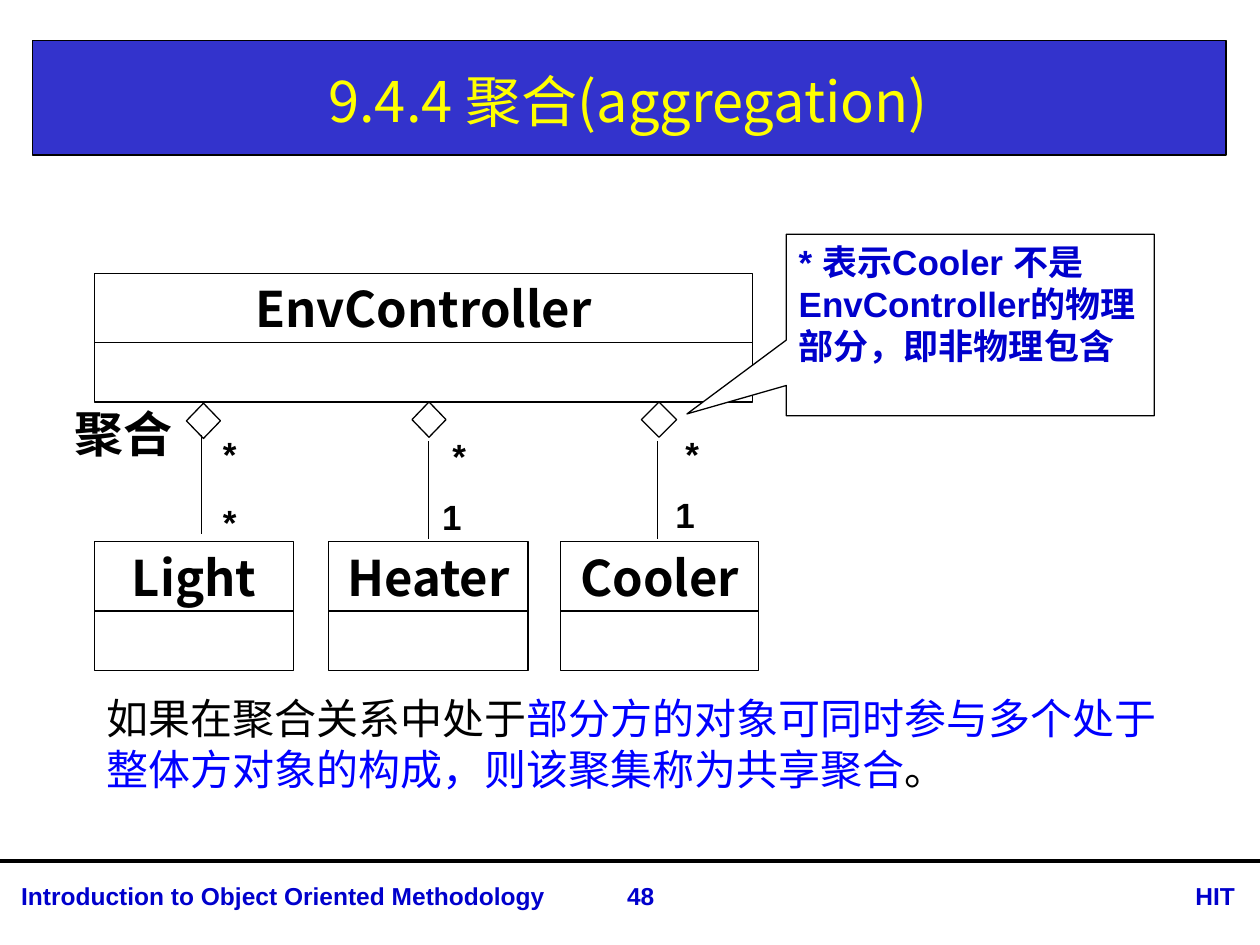
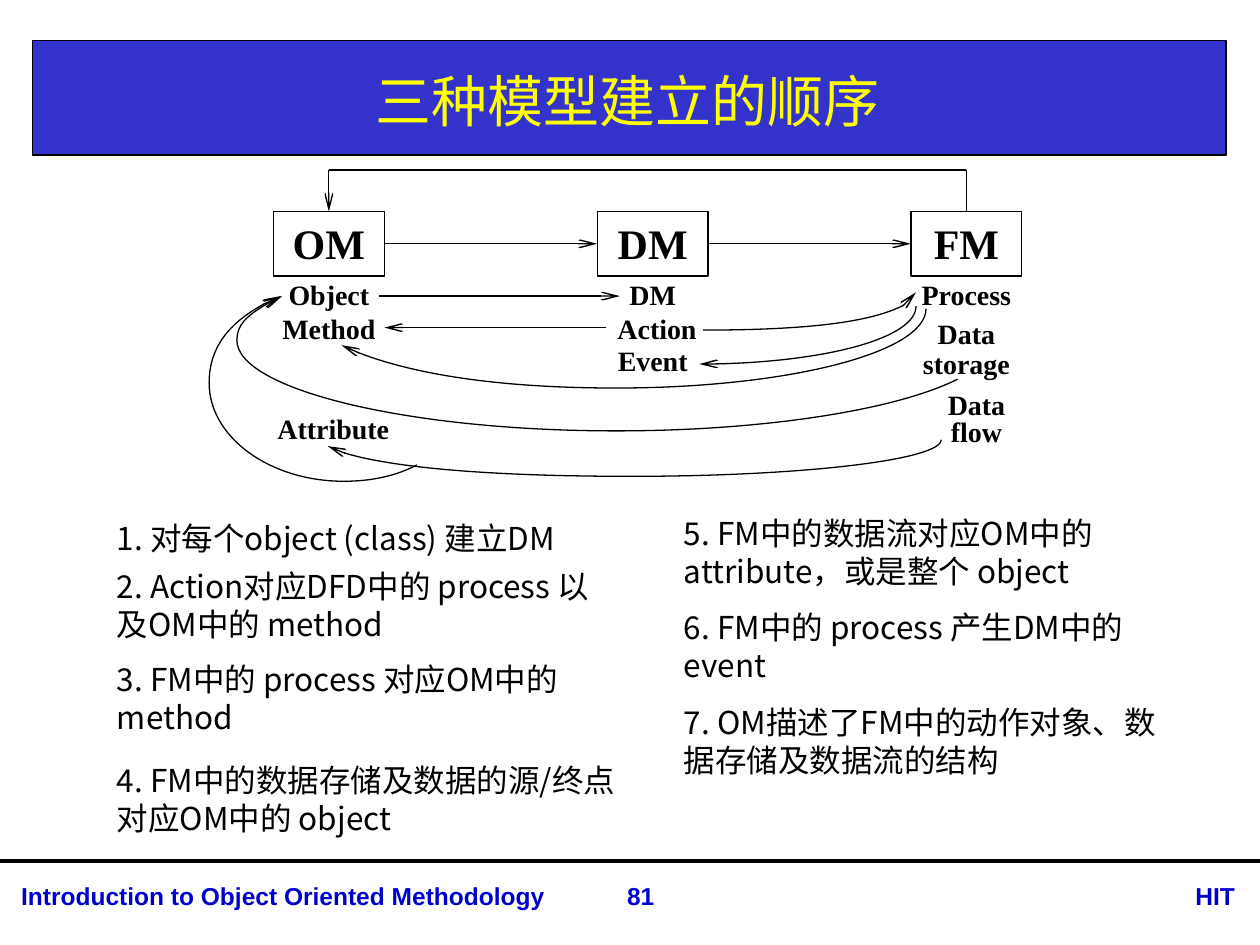
import lxml.etree
import pptx
import pptx.dml.color
import pptx.enum.shapes
import pptx.enum.text
import pptx.oxml.ns
import pptx.util

PX = 9144
SANS, ARIAL, TIMES = "Noto Sans CJK SC", "Arial", "Times New Roman"
BLACK, WHITE, BAND, YELLOW, NAVY, BLUE = "000000", "FFFFFF", "3333CC", "FFFF00", "0000CC", "0000FF"
SHAPE = pptx.enum.shapes.MSO_SHAPE
ANCHOR = pptx.enum.text.MSO_ANCHOR
ALIGN = pptx.enum.text.PP_ALIGN
qn = pptx.oxml.ns.qn


def rgb(hex_color):
    return pptx.dml.color.RGBColor.from_string(hex_color)


def emu(*lengths):
    return [length * PX for length in lengths]


def write(frame, text, size=18, font=SANS, color=BLACK, bold=False, align=ALIGN.LEFT,
          anchor=ANCHOR.TOP, inset=(10, 5), spacing=None):
    frame.word_wrap = True
    frame.vertical_anchor = anchor
    frame.margin_left = frame.margin_right = inset[0] * PX
    frame.margin_top = frame.margin_bottom = inset[1] * PX
    paragraph = frame.paragraphs[0]
    paragraph.alignment = align
    if spacing:
        paragraph.line_spacing = spacing
    for words, run_color in [(text, color)] if isinstance(text, str) else text:
        run = paragraph.add_run()
        run.text = words
        run.font.size = pptx.util.Pt(size)
        run.font.name = font
        run.font.bold = bold
        run.font.color.rgb = rgb(run_color)
        lxml.etree.SubElement(run.font._element, qn("a:ea"), typeface=SANS)


class Deck:
    """Holds the shared style and the current slide."""

    def __init__(self):
        self.presentation = pptx.Presentation()
        self.presentation.slide_width, self.presentation.slide_height = emu(1000, 750)
        self.shapes = None

    def new_slide(self, title, number):
        layout = self.presentation.slide_layouts[6]
        self.shapes = self.presentation.slides.add_slide(layout).shapes
        self.box((26, 32, 947, 91), fill=BAND)
        self.line((0, 683), (1000, 683), width=2.25)
        for left, width, words, align in [
            (7, 463, "Introduction to Object Oriented Methodology", ALIGN.LEFT),
            (887, 103, "HIT", ALIGN.RIGHT),
            (457, 103, number, ALIGN.CENTER),
        ]:
            self.text((left, 694, width, 34), words, size=14, font=ARIAL, color=NAVY, bold=True, align=align)
        self.text((26, 36, 945, 87), title, size=32, color=YELLOW, align=ALIGN.CENTER, anchor=ANCHOR.MIDDLE)

    def text(self, at, words, **style):
        write(self.shapes.add_textbox(*emu(*at)).text_frame, words, **style)

    def stroke(self, shape, width=0.75, arrow=None):
        shape.line.color.rgb = rgb(BLACK)
        shape.line.width = pptx.util.Pt(width)
        if arrow:
            outline = shape._element.spPr.find(qn("a:ln"))
            lxml.etree.SubElement(outline, qn(f"a:{arrow}End"), type="arrow", w="sm", len="lg")

    def box(self, at, words=None, fill=WHITE, kind=SHAPE.RECTANGLE, adjust=(), **style):
        shape = self.shapes.add_shape(kind, *emu(*at))
        shape.shadow.inherit = False
        for index, value in enumerate(adjust):
            shape.adjustments[index] = value
        if fill:
            shape.fill.solid()
            shape.fill.fore_color.rgb = rgb(fill)
        else:
            shape.fill.background()
        self.stroke(shape)
        if words:
            write(shape.text_frame, words, **style)
        return shape

    def line(self, start, end, begin_join=None, end_join=None, **stroke):
        connector = self.shapes.add_connector(
            pptx.enum.shapes.MSO_CONNECTOR.STRAIGHT, *emu(*start, *end))
        if begin_join:
            connector.begin_connect(*begin_join)
        if end_join:
            connector.end_connect(*end_join)
        self.stroke(connector, **stroke)
        lxml.etree.SubElement(connector._element.spPr, qn("a:effectLst"))

    def curve(self, start, *controls):
        builder = self.shapes.build_freeform(*start, scale=PX)
        builder.add_line_segments(controls, close=False)
        shape = builder.convert_to_shape()
        segments = list(shape._element.iter(qn("a:lnTo")))
        outline = segments[0].getparent()
        for first in range(0, len(segments), 3):
            bezier = lxml.etree.SubElement(outline, qn("a:cubicBezTo"))
            for segment in segments[first:first + 3]:
                bezier.append(segment[0])
                outline.remove(segment)
        shape.shadow.inherit = False
        shape.fill.background()
        self.stroke(shape, arrow="head")

    def uml_class(self, left, top, width, name):
        self.box((left, top, width, 55), name, size=28, bold=True, align=ALIGN.CENTER,
                 anchor=ANCHOR.MIDDLE, inset=(0, 4))
        self.box((left, top + 55, width, 47))


def aggregation_slide(deck):
    deck.new_slide("9.4.4 聚合(aggregation)", "48")
    deck.text((59, 320, 87, 47), "聚合", size=28, bold=True, inset=(0, 0))
    for left, top, width, name in [(75, 217, 522, "EnvController"), (75, 430, 158, "Light"),
                                   (261, 430, 158, "Heater"), (445, 430, 157, "Cooler")]:
        deck.uml_class(left, top, width, name)
    for left, top, width in [(148, 320, 27), (327, 319, 27), (509, 319, 28)]:
        deck.box((left, top, width, 28), kind=SHAPE.DIAMOND)
    for x, top, bottom in [(160, 345, 424), (340, 350, 428), (522, 350, 428)]:
        deck.line((x, top), (x, bottom))
    for left, top, width, multiplicity in [
        (177, 343, 16, "*"), (177, 397, 16, "*"), (359, 345, 24, "*"),
        (351, 393, 20, "1"), (544, 343, 19, "*"), (536, 392, 20, "1"),
    ]:
        deck.text((left, top, width, 33), multiplicity, size=20, font=ARIAL, bold=True, inset=(0, 0))
    deck.box((624, 186, 292, 144), "* 表示Cooler 不是EnvController的物理部分，即非物理包含",
             kind=SHAPE.RECTANGULAR_CALLOUT, adjust=(-0.77, 0.49),
             size=20, font=ARIAL, color=NAVY, bold=True)
    deck.text((75, 545, 877, 91), [
        ("如果在聚合关系中处于", BLACK),
        ("部分方的对象可同时参与多个处于整体方对象的构成，则该聚集称为共享聚合", BLUE),
        ("。", BLACK)], size=24)


def model_order_slide(deck):
    deck.new_slide("三种模型建立的顺序", "81")
    label = dict(font=TIMES, bold=True, align=ALIGN.CENTER, inset=(0, 5))
    om, dm, fm = [deck.box((left, 168, 88, 51), name, fill=None, size=24, **label)
                  for left, name in [(217, "OM"), (474, "DM"), (723, "FM")]]
    deck.line((305, 193), (474, 193), (om, 3), (dm, 1), arrow="tail")
    deck.line((562, 193), (723, 193), (dm, 3), (fm, 1), arrow="tail")
    deck.line((261, 135), (261, 168), end_join=(om, 0), arrow="tail")
    deck.line((261, 135), (767, 135))
    deck.line((767, 135), (767, 168), end_join=(fm, 0))
    deck.line((301, 235), (492, 235), arrow="tail")
    deck.line((305, 260), (481, 260), arrow="head")

    for left, top, width, height, name, spacing in [
        (217, 215, 88, 37, "Object", None),
        (217, 242, 88, 37, "Method", None),
        (217, 322, 95, 37, "Attribute", None),
        (474, 215, 88, 37, "DM", None),
        (481, 242, 81, 37, "Action", None),
        (474, 268, 88, 37, "Event", None),
        (723, 215, 88, 37, "Process", None),
        (723, 249, 88, 58, "Data storage", 0.9),
        (731, 308, 88, 53, "Data flow", 0.8),
    ]:
        deck.text((left, top, width, height), name, size=16, spacing=spacing, **label)

    deck.curve((727, 232), (727, 249), (652, 262), (558, 262))
    deck.curve((555, 289), (650, 289), (727, 268), (727, 243))
    deck.curve((271, 274), (313, 295), (397, 308), (489, 308), (625, 308), (735, 280), (735, 245))
    deck.curve((224, 235), (200, 246), (188, 258), (188, 270), (188, 309), (323, 342), (489, 342),
               (604, 342), (710, 326), (760, 301))
    deck.curve((260, 354), (282, 368), (383, 378), (501, 378), (637, 378), (747, 365), (747, 349))
    deck.curve((223, 235), (188, 249), (166, 275), (166, 304), (166, 347), (214, 382), (273, 382),
               (294, 382), (314, 378), (331, 369))

    for left, top, width, height, step in [
        (83, 407, 417, 40, "1. 对每个object (class) 建立DM"),
        (83, 445, 417, 71, "2. Action对应DFD中的 process 以及OM中的 method"),
        (83, 519, 417, 71, "3. FM中的 process 对应OM中的method"),
        (83, 599, 417, 71, "4. FM中的数据存储及数据的源/终点对应OM中的 object"),
        (533, 403, 392, 71, "5. FM中的数据流对应OM中的attribute，或是整个 object"),
        (533, 478, 392, 71, "6. FM中的 process 产生DM中的 event"),
        (533, 553, 401, 71, "7. OM描述了FM中的动作对象、数据存储及数据流的结构"),
    ]:
        deck.text((left, top, width, height), step)


def main():
    deck = Deck()
    aggregation_slide(deck)
    model_order_slide(deck)
    deck.presentation.save("out.pptx")


if __name__ == "__main__":
    main()
